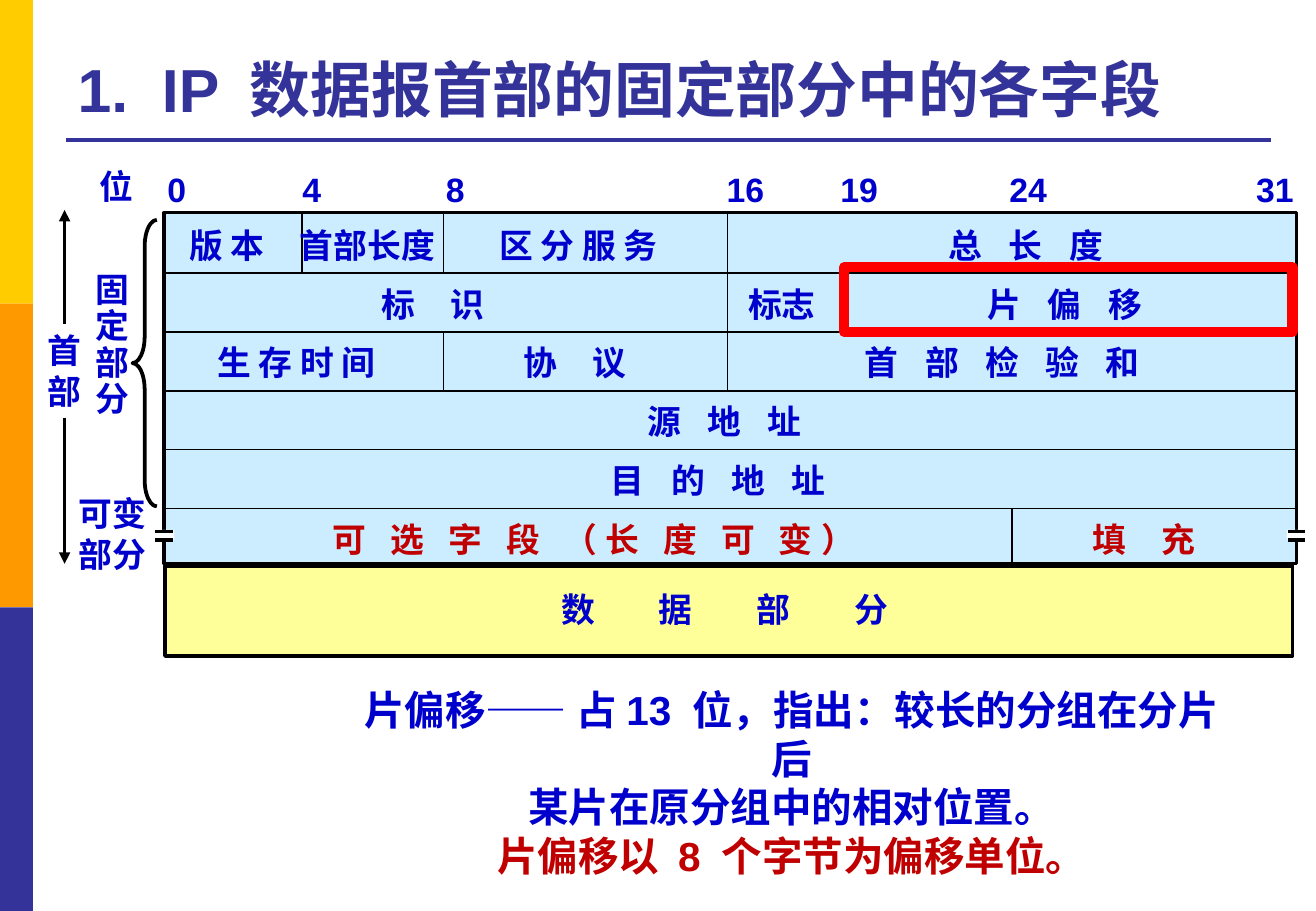
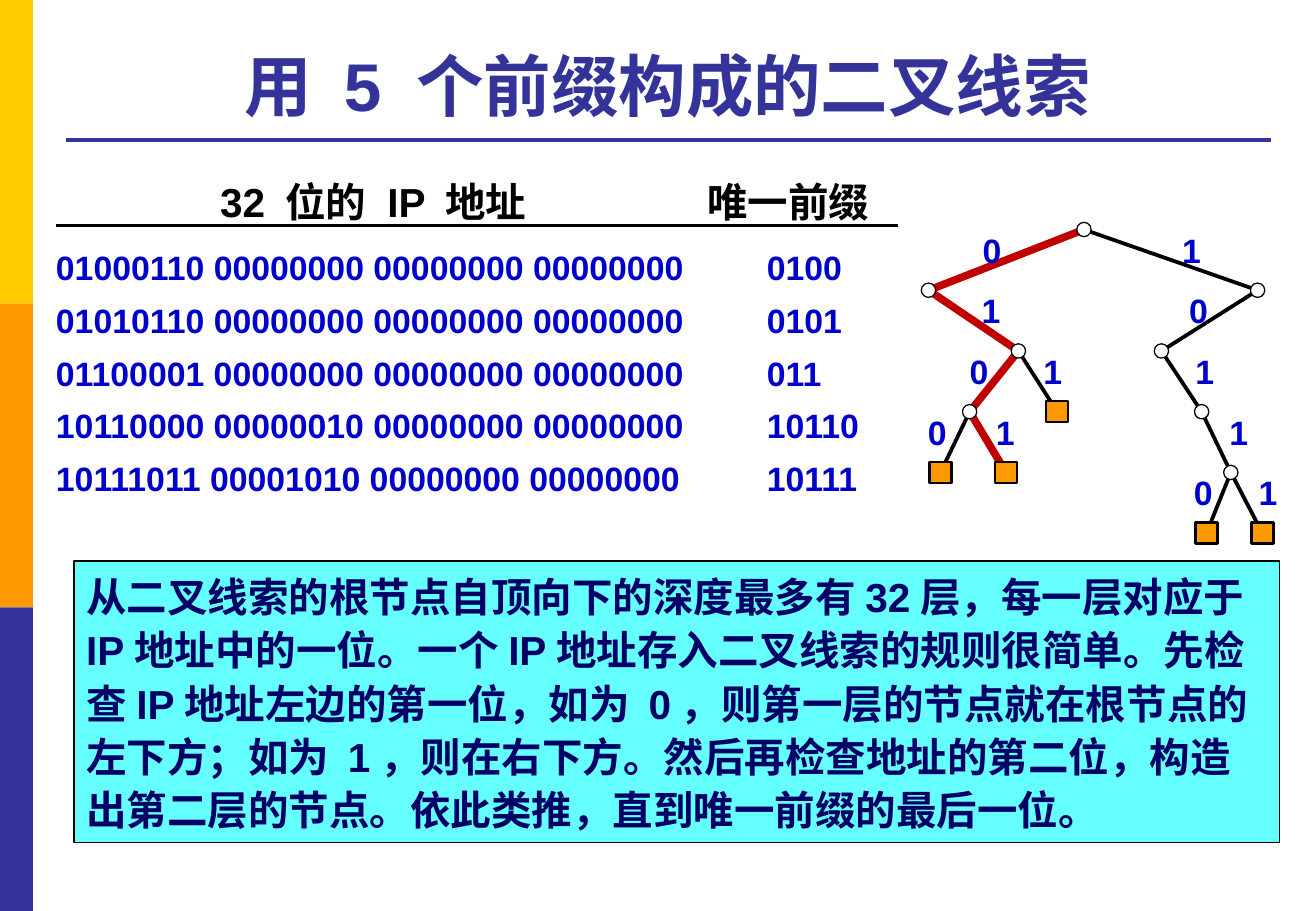
from dataclasses import dataclass

import pptx
import pptx.dml.color
import pptx.enum.shapes
import pptx.enum.text
import pptx.oxml.ns
import pptx.util
from lxml import etree

Cm = pptx.util.Cm
Pt = pptx.util.Pt
Shape = pptx.enum.shapes.MSO_SHAPE
Align = pptx.enum.text.PP_ALIGN
Anchor = pptx.enum.text.MSO_ANCHOR
AutoSize = pptx.enum.text.MSO_AUTO_SIZE
qn = pptx.oxml.ns.qn


@dataclass(frozen=True)
class Theme:
    font: str = "Arial"
    yellow: str = "FFCC00"
    orange: str = "FF9900"
    indigo: str = "333399"
    blue: str = "0000CC"
    navy: str = "000066"
    crimson: str = "C00000"
    red: str = "FF0000"
    black: str = "000000"
    white: str = "FFFFFF"
    pale_blue: str = "CCECFF"
    pale_yellow: str = "FFFF99"
    cyan: str = "66FFFF"
    title: int = 36
    large_title: int = 40
    body: int = 24
    label: int = 20
    space: float = 5.56  # width of one space at label size, in points


def apply_format(target, values):
    for name, value in values.items():
        setattr(target, name, value)


def color(value):
    return pptx.dml.color.RGBColor.from_string(value)


class Deck:
    def __init__(self, theme):
        self.theme = theme
        self.presentation = pptx.Presentation()
        apply_format(self.presentation, {"slide_width": Cm(27.51), "slide_height": Cm(19.05)})
        self.slide = None

    def add_slide(self, title, size, align):
        first = self.slide is None
        self.slide = self.presentation.slides.add_slide(self.presentation.slide_layouts[5])
        if first:
            self.add_master_parts()
        shape = self.slide.shapes.title
        apply_format(shape, {"left": Cm(1.37), "top": Cm(0.53), "width": Cm(25.18), "height": Cm(2.21)})
        apply_format(shape.text_frame, {
            "vertical_anchor": Anchor.BOTTOM, "word_wrap": True, "auto_size": AutoSize.NONE})
        self.fill_text(shape.text_frame, [title], size=size, ink=self.theme.indigo, align=align)

    def add_master_parts(self):
        """Draw the side bands and title rule, then hand them to the master."""
        theme = self.theme
        parts = [self.box(0, 6.35 * index, 0.69, 6.35, fill)
                 for index, fill in enumerate((theme.yellow, theme.orange, theme.indigo))]
        parts.append(self.line((1.37, 2.92), (26.57, 2.92), 2.25, theme.indigo))
        for part in parts:
            self.presentation.slide_master.shapes._spTree.append(part._element)

    def fill_text(self, frame, lines, size=None, ink=None, align=Align.LEFT, spacing=None, gap=1):
        """Set one paragraph per line; gap widens each space to that many spaces."""
        for index, line in enumerate(lines):
            paragraph = frame.paragraphs[0] if index == 0 else frame.add_paragraph()
            apply_format(paragraph, {"alignment": align, "line_spacing": spacing})
            for text in (line[:-1], line[-1]) if gap > 1 else (line,):
                run = paragraph.add_run()
                run.text = text
                apply_format(run.font, {
                    "name": self.theme.font, "size": Pt(size or self.theme.label), "bold": True})
                run.font.color.rgb = color(ink or self.theme.blue)
            if gap > 1:
                tracking = round((gap - 1) / 2 * self.theme.space * 100)
                paragraph.runs[0]._r.get_or_add_rPr().set("spc", str(tracking))

    def text(self, lines, left, top, width, height=1.09, wrap=False, **style):
        shape = self.slide.shapes.add_textbox(Cm(left), Cm(top), Cm(width), Cm(height))
        apply_format(shape.text_frame, {"word_wrap": wrap, "auto_size": AutoSize.SHAPE_TO_FIT_TEXT})
        self.fill_text(shape.text_frame, [lines] if isinstance(lines, str) else lines, **style)
        return shape

    def box(self, left, top, width, height, fill=None, line=None, weight=1, kind=Shape.RECTANGLE):
        shape = self.slide.shapes.add_shape(kind, Cm(left), Cm(top), Cm(width), Cm(height))
        shape.shadow.inherit = False
        if fill:
            shape.fill.solid()
            shape.fill.fore_color.rgb = color(fill)
        else:
            shape.fill.background()
        if line:
            shape.line.color.rgb = color(line)
            shape.line.width = Pt(weight)
        else:
            shape.line.fill.background()
        return shape

    def line(self, start, end, weight=1, ink=None, arrow=False):
        connector = self.slide.shapes.add_connector(
            pptx.enum.shapes.MSO_CONNECTOR.STRAIGHT, *(Cm(value) for value in (*start, *end)))
        connector.line.color.rgb = color(ink or self.theme.black)
        connector.line.width = Pt(weight)
        if arrow:
            etree.SubElement(connector.line._get_or_add_ln(), qn("a:tailEnd"), type="triangle")
        etree.SubElement(connector._element.spPr, qn("a:effectLst"))
        return connector

    def table(self, rows, left, top, widths, heights):
        frame = self.slide.shapes.add_table(
            len(rows), len(widths), Cm(left), Cm(top), Cm(sum(widths)), Cm(sum(heights)))
        table = frame.table
        apply_format(table, {"first_row": False, "horz_banding": False})
        for column, width in zip(table.columns, widths):
            column.width = Cm(width)
        for row, height in zip(table.rows, heights):
            row.height = Cm(height)
        for row_index, row in enumerate(rows):
            header = row_index == 0
            for column_index, text in enumerate(row):
                cell = table.cell(row_index, column_index)
                cell.fill.background()
                apply_format(cell, {
                    "margin_left": Cm(1.6 if column_index and not header else 0),
                    "margin_right": Cm(0.25 if column_index else 0), "margin_top": 0,
                    "margin_bottom": Cm(0.25 if header else 0), "vertical_anchor": Anchor.MIDDLE})
                if header:
                    self.fill_text(cell.text_frame, [text], self.theme.body, self.theme.black,
                                   Align.CENTER)
                else:
                    self.fill_text(cell.text_frame, [text])


def row_top(row):
    return 4.48 + 1.23 * row


def build_header_slide(deck):
    theme = deck.theme
    deck.add_slide("1.  IP 数据报首部的固定部分中的各字段", theme.title, Align.LEFT)

    # Header and data areas with their grid
    deck.box(3.43, 4.45, 23.67, 7.34, theme.pale_blue, theme.black, 2)
    deck.box(3.45, 11.84, 23.57, 1.88, theme.pale_yellow, theme.black, 2.25)
    for row in range(1, 6):
        deck.line((3.4, row_top(row)), (27.13, row_top(row)))
    for x, first, last in ((6.32, 0, 1), (9.27, 0, 1), (9.27, 2, 3),
                           (15.21, 0, 3), (17.63, 1, 2), (21.16, 5, 6)):
        deck.line((x, row_top(first)), (x, row_top(last)))

    # Bit numbers
    deck.text("位", 1.83, 3.35, 1.22)
    for bit, left in ((0, 3.25), (4, 6.07), (8, 9.07), (16, 14.94),
                      (19, 17.32), (24, 20.85), (31, 26.01)):
        deck.text(str(bit), left, 3.4, 0.91 if bit < 10 else 1.3)

    # Field names: text, row, left, width, spaces in each gap
    fields = (
        ("版 本", 0, 3.71, 2.13, 1), ("首部长度", 0, 6.02, 3.35, 1),
        ("区 分 服 务", 0, 10.19, 3.96, 1), ("总 长 度", 0, 19.58, 3.84, 3),
        ("标 识", 1, 7.72, 2.72, 4), ("标志", 1, 15.39, 1.93, 1),
        ("片 偏 移", 1, 20.4, 3.84, 3), ("生 存 时 间", 2, 4.29, 3.96, 1),
        ("协 议", 2, 10.69, 2.72, 4), ("首 部 检 验 和", 2, 17.83, 6.45, 3),
        ("源 地 址", 3, 13.28, 3.84, 3), ("目 的 地 址", 4, 12.52, 5.13, 3),
        ("可 选 字 段 （长 度 可 变）", 5, 6.71, 11.58, 2.73), ("填 充", 5, 22.58, 2.72, 4),
    )
    for name, row, left, width, gap in fields:
        deck.text(name, left, row_top(row) + 0.09, width, gap=gap,
                  ink=theme.crimson if row == 5 else theme.blue)
    deck.text("数 据 部 分", 11.48, 12.19, 8.76, wrap=True, gap=7)

    # Break marks on both edges
    for left in (3.23, 26.9):
        deck.box(left, 11.08, 0.41, 0.2, theme.white)
        for y in (11.11, 11.29):
            deck.line((left + 0.02, y), (left + 0.38, y), 2)

    # Left-hand labels, arrows and brace
    deck.text(list("固定部分"), 1.75, 5.59, 1.22, 3.33, spacing=0.9)
    deck.text(["可变", "部分"], 1.4, 10.19, 1.93, 1.96)
    header_label = deck.text(list("首部"), 0.74, 6.78, 1.22, 1.96)
    for site, start, end in ((0, 6.78, 4.39), (2, 8.74, 11.79)):
        arrow = deck.line((1.35, start), (1.35, end), 2.25, arrow=True)
        arrow.begin_connect(header_label, site)
        arrow.end_x = arrow.begin_x
    brace = deck.box(2.77, 4.6, 0.51, 5.99, None, theme.black, 2.25, Shape.LEFT_BRACE)
    brace.adjustments[0] = 1.08

    # Highlighted field and its explanation
    deck.box(17.65, 5.59, 9.37, 1.35, None, theme.red, 6)
    note = deck.text(["片偏移—— 占13 位，指出：较长的分组在分片后", "某片在原分组中的相对位置。",
                      "片偏移以 8 个字节为偏移单位。"], 7.1, 14.2, 18.9, 5.1,
                     wrap=True, size=theme.body, align=Align.CENTER)
    note.text_frame.paragraphs[-1].runs[0].font.color.rgb = color(theme.crimson)


def build_trie_slide(deck):
    theme = deck.theme
    deck.add_slide("用 5 个前缀构成的二叉线索", theme.large_title, Align.CENTER)

    # Addresses and their unique prefixes
    rows = (
        ("32 位的 IP 地址", "唯一前缀"),
        ("01000110 00000000 00000000 00000000", "0100"),
        ("01010110 00000000 00000000 00000000", "0101"),
        ("01100001 00000000 00000000 00000000", "011"),
        ("10110000 00000010 00000000 00000000", "10110"),
        ("10111011 00001010 00000000 00000000", "10111"),
    )
    deck.table(rows, 1.17, 3.53, (13.26, 4.34), [1.55] + [1.1] * 5)
    deck.line((1.17, 4.72), (18.77, 4.72), 1.5)

    # Trie nodes by prefix: centre x, left of the edge's label
    nodes = {
        "": (22.66, None), "0": (19.41, 20.29), "1": (26.29, 24.46),
        "01": (21.29, 20.27), "10": (24.28, 24.61), "010": (20.27, 20.02),
        "011": (22.1, 21.56), "101": (25.12, 24.74), "0100": (19.66, 19.15),
        "0101": (21.03, 20.57), "1011": (25.73, 25.45),
        "10110": (25.22, 24.71), "10111": (26.39, 26.06),
    }
    leaves = {prefix for _, prefix in rows[1:]}
    centers = {prefix: (x, 4.8 + 1.27 * len(prefix)) for prefix, (x, _) in nodes.items()}

    # Edges, the highlighted path last
    for prefix in sorted(filter(None, nodes), key="0101".startswith):
        on_route = "0101".startswith(prefix)
        deck.line(centers[prefix[:-1]], centers[prefix], 4.5 if on_route else 2.25,
                  theme.crimson if on_route else theme.black)

    # Nodes and bit labels
    for prefix, (x, y) in centers.items():
        if prefix:
            deck.text(prefix[-1], nodes[prefix][1], y - 1.4, 0.91)
        if prefix in leaves:
            deck.box(x - 0.23, y - 0.22, 0.46, 0.44, theme.orange, theme.black, 1.5)
        else:
            deck.box(x - 0.15, y - 0.15, 0.3, 0.3, theme.white, theme.black, 0.75, Shape.OVAL)

    # Explanation
    panel = deck.box(1.55, 11.73, 25.2, 5.89, theme.cyan, theme.black, 0.75)
    apply_format(panel.text_frame, {"word_wrap": True, "vertical_anchor": Anchor.TOP})
    deck.fill_text(panel.text_frame, [
        "从二叉线索的根节点自顶向下的深度最多有32层，每一层对应于IP地址中的一位。"
        "一个IP地址存入二叉线索的规则很简单。先检查IP地址左边的第一位，如为 0，"
        "则第一层的节点就在根节点的左下方；如为 1，则在右下方。然后再检查地址的第二位，"
        "构造出第二层的节点。依此类推，直到唯一前缀的最后一位。"],
        theme.body, theme.navy, spacing=1.1)


def main():
    deck = Deck(Theme())
    build_header_slide(deck)
    build_trie_slide(deck)
    deck.presentation.save("out.pptx")


if __name__ == "__main__":
    main()
